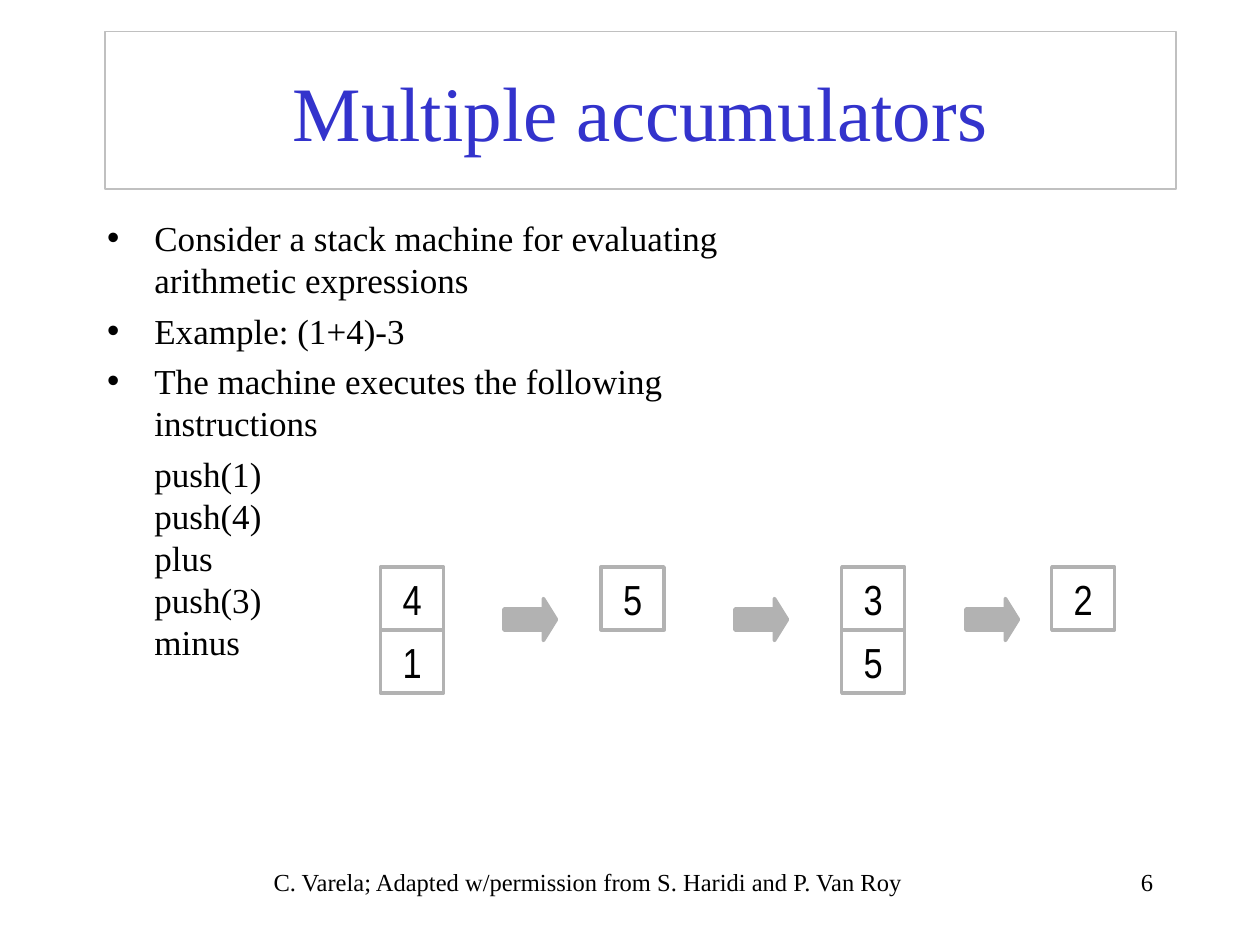
import pptx
import pptx.dml.color
import pptx.enum.shapes
import pptx.enum.text
import pptx.oxml
import pptx.util

Pt = pptx.util.Pt
PP_ALIGN = pptx.enum.text.PP_ALIGN
MSO_SHAPE = pptx.enum.shapes.MSO_SHAPE
GRAY = "B2B2B2"


def rgb(color):
    return pptx.dml.color.RGBColor.from_string(color)


def set_text(paragraph, text, size, align, font="Times New Roman", color="000000"):
    paragraph.text = text
    paragraph.alignment = align
    paragraph.font.size = Pt(size)
    paragraph.font.name = font
    paragraph.font.color.rgb = rgb(color)


presentation = pptx.Presentation()
presentation.slide_width, presentation.slide_height = Pt(720), Pt(540)
slide = presentation.slides.add_slide(presentation.slide_layouts[1])

# Title
title = slide.shapes.title
title.left, title.top, title.width, title.height = Pt(60), Pt(18), Pt(612), Pt(90)
title.line.color.rgb = rgb("C0C0C0")
title.line.width = Pt(0.75)
title.text_frame.vertical_anchor = pptx.enum.text.MSO_ANCHOR.MIDDLE
set_text(title.text_frame.paragraphs[0], "Multiple accumulators", 44, PP_ALIGN.CENTER,
         color="3333CC")

# Explanation, ending with the unbulleted instruction sequence
explanation = slide.placeholders[1]
explanation.left, explanation.top = Pt(54), Pt(120)
explanation.width, explanation.height = Pt(366), Pt(300)
explanation.text_frame.auto_size = pptx.enum.text.MSO_AUTO_SIZE.NONE
points = [
    "Consider a stack machine for evaluating arithmetic expressions",
    "Example: (1+4)-3",
    "The machine executes the following instructions",
    "push(1)\vpush(4)\vplus\vpush(3)\vminus",
]
for index, point in enumerate(points):
    if index:
        paragraph = explanation.text_frame.add_paragraph()
    else:
        paragraph = explanation.text_frame.paragraphs[0]
    set_text(paragraph, point, 20, PP_ALIGN.LEFT)
    paragraph.space_before = Pt(5)

instructions = explanation.text_frame.paragraphs[-1]
properties = instructions._p.get_or_add_pPr()
properties.set("indent", "0")
no_bullet = pptx.oxml.parse_xml(
    '<a:buNone xmlns:a="http://schemas.openxmlformats.org/drawingml/2006/main"/>')
properties.find(pptx.oxml.ns.qn("a:defRPr")).addprevious(no_bullet)

# Stack states, top of stack first
CELL = 36
STACK_TOP = 324
for left, values in [(217.5, "41"), (343.5, "5"), (481, "35"), (601, "2")]:
    for row, value in enumerate(values):
        cell = slide.shapes.add_shape(MSO_SHAPE.RECTANGLE, Pt(left),
                                      Pt(STACK_TOP + row * CELL), Pt(CELL), Pt(CELL))
        cell.shadow.inherit = False
        cell.fill.background()
        cell.line.color.rgb = rgb(GRAY)
        cell.line.width = Pt(2)
        cell.text_frame.word_wrap = False
        cell.text_frame.vertical_anchor = pptx.enum.text.MSO_ANCHOR.MIDDLE
        set_text(cell.text_frame.paragraphs[0], value, 24, PP_ALIGN.CENTER, "Arial Narrow")

# Steps between the states
for step in range(3):
    arrow = slide.shapes.add_shape(MSO_SHAPE.RIGHT_ARROW, Pt(288 + step * 132), Pt(342),
                                   Pt(30), Pt(24))
    arrow.adjustments[1] = 0.31
    arrow.shadow.inherit = False
    arrow.fill.solid()
    arrow.fill.fore_color.rgb = rgb(GRAY)
    arrow.line.color.rgb = rgb(GRAY)
    arrow.line.width = Pt(2)

# Credit and page number
for text, left, width, align in [
    ("C. Varela; Adapted w/permission from S. Haridi and P. Van Roy", 72, 528, PP_ALIGN.CENTER),
    ("6", 516, 150, PP_ALIGN.RIGHT),
]:
    footer = slide.shapes.add_textbox(Pt(left), Pt(492), Pt(width), Pt(36))
    footer.text_frame.word_wrap = True
    set_text(footer.text_frame.paragraphs[0], text, 14, align)

presentation.save("out.pptx")
